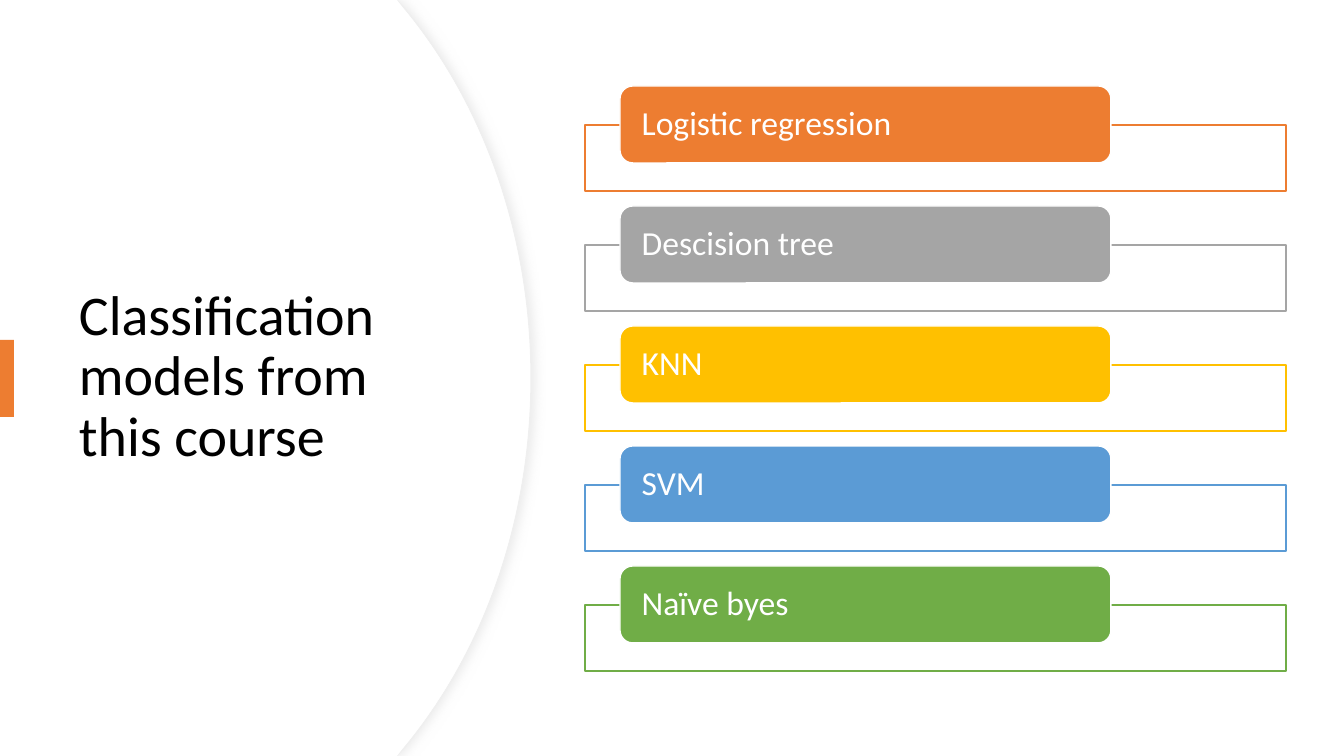
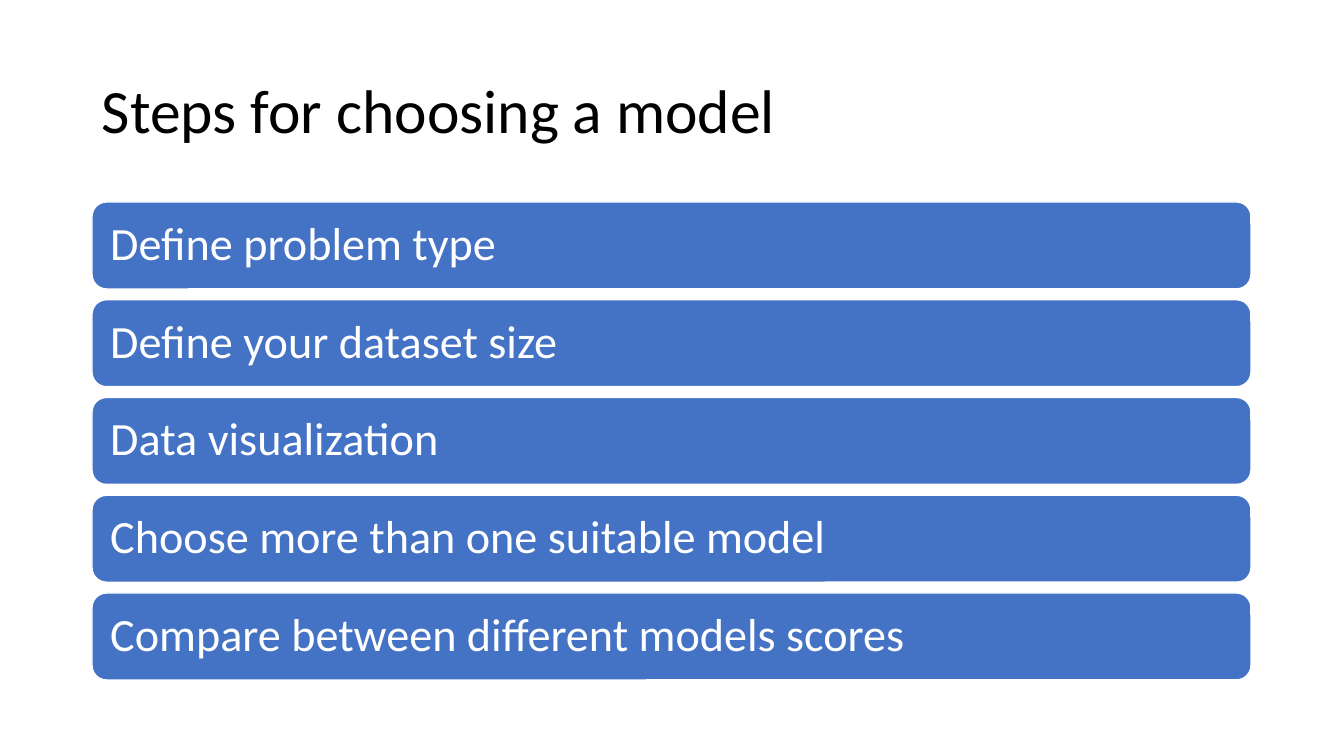
from pptx import Presentation
from pptx.dml.color import RGBColor
from pptx.enum.shapes import MSO_SHAPE
from pptx.enum.text import MSO_ANCHOR, PP_ALIGN
from pptx.oxml import parse_xml
from pptx.oxml.ns import nsdecls
from pptx.util import Emu, Pt

RECT, ROUND_RECT = MSO_SHAPE.RECTANGLE, MSO_SHAPE.ROUNDED_RECTANGLE
MIDDLE, LEFT = MSO_ANCHOR.MIDDLE, PP_ALIGN.LEFT

PX = 914400 / 100.8  # EMU per px
WIDTH, HEIGHT = 1344, 756
FONT = "Calibri"

BLACK = RGBColor(0x00, 0x00, 0x00)
WHITE = RGBColor(0xFF, 0xFF, 0xFF)
PALE = RGBColor(0xEF, 0xEF, 0xEF)
ORANGE = RGBColor(0xED, 0x7D, 0x31)
GRAY = RGBColor(0xA5, 0xA5, 0xA5)
GOLD = RGBColor(0xFF, 0xC0, 0x00)
SKY = RGBColor(0x5B, 0x9B, 0xD5)
GREEN = RGBColor(0x70, 0xAD, 0x47)
BLUE = RGBColor(0x44, 0x72, 0xC4)

SOFT_SHADOW = (
    f'<a:effectLst {nsdecls("a")}>'
    f'<a:outerShdw blurRad="{Pt(7)}" dist="{Pt(3)}" dir="0" algn="l" rotWithShape="0">'
    '<a:srgbClr val="D9D9D9"><a:alpha val="50000"/></a:srgbClr>'
    '</a:outerShdw></a:effectLst>')


def px(n):
    return Emu(round(n * PX))


def add_text(tf, text, size=24, color=WHITE, inset=(10, 5)):
    tf.word_wrap = True
    tf.vertical_anchor = MIDDLE
    tf.margin_left = tf.margin_right = px(inset[0])
    tf.margin_top = tf.margin_bottom = px(inset[1])
    p = tf.paragraphs[0]
    p.alignment = LEFT
    p.line_spacing = 0.9
    r = p.add_run()
    r.text = text
    r.font.name, r.font.size, r.font.color.rgb = FONT, Pt(size), color


def bend(segment, *points):
    """Turn a straight outline segment into a cubic curve."""
    pts = "".join(f'<a:pt x="{px(x)}" y="{px(y)}"/>' for x, y in points)
    curve = parse_xml(f'<a:cubicBezTo {nsdecls("a")}>{pts}</a:cubicBezTo>')
    segment.getparent().replace(segment, curve)


def spread(items, top, bottom, height):
    """Pair each item with its y so that all gaps are equal."""
    pitch = (bottom - top - height) / (len(items) - 1)
    return [(item, top + i * pitch) for i, item in enumerate(items)]


class Deck:
    def __init__(self):
        self.prs = Presentation()
        self.prs.slide_width, self.prs.slide_height = px(WIDTH), px(HEIGHT)
        self.s = None

    def slide(self):
        self.s = self.prs.slides.add_slide(self.prs.slide_layouts[6])

    def style(self, sp, fill, line=None, weight=1):
        sp.shadow.inherit = False
        sp.fill.solid()
        sp.fill.fore_color.rgb = fill
        if line is None:
            sp.line.fill.background()
        else:
            sp.line.color.rgb = line
            sp.line.width = Pt(weight)

    def box(self, kind, x, y, w, h, fill, line=None):
        sp = self.s.shapes.add_shape(kind, px(x), px(y), px(w), px(h))
        self.style(sp, fill, line)
        return sp

    def bar(self, text, x, y, w, h, fill, size, inset):
        sp = self.box(ROUND_RECT, x, y, w, h, fill, WHITE)
        add_text(sp.text_frame, text, size=size, inset=(inset, 0))

    def title(self, text, x, y, w, h, size):
        tb = self.s.shapes.add_textbox(px(x), px(y), px(w), px(h))
        add_text(tb.text_frame, text, size=size, color=BLACK)

    def curved_panel(self, right, line=None, shadow=False):
        """White panel from the left edge with a bulging right side."""
        mid, corner, shoulder, bulge = HEIGHT // 2, 397, right - 127, right - 48
        outline = [(corner, 0), (shoulder, 8), (right, mid),
                   (shoulder, HEIGHT - 8), (corner, HEIGHT), (0, HEIGHT)]
        fb = self.s.shapes.build_freeform(0, 0)
        fb.add_line_segments([(px(x), px(y)) for x, y in outline], close=True)
        sp = fb.convert_to_shape()
        self.style(sp, WHITE, line, 0.75)
        # Curve the two segments that meet at the rightmost point
        spPr = sp._element.spPr
        upper, lower = list(spPr.iter("{*}lnTo"))[2:4]
        bend(upper, (bulge, 103), (right, 234), (right, mid))
        bend(lower, (right, HEIGHT - 234), (bulge, HEIGHT - 103),
             (shoulder, HEIGHT - 8))
        if shadow:
            spPr.replace(spPr.find("{*}effectLst"), parse_xml(SOFT_SHADOW))


def models_slide(deck):
    deck.slide()
    # Title panel with accent
    deck.curved_panel(531, line=PALE, shadow=True)
    deck.curved_panel(530)
    deck.title("Classification models from this course", 69, 128, 397, 499, size=40)
    deck.box(RECT, 0, 340, 14, 77, ORANGE)
    # Model list: outlined frame behind a coloured tab
    models = [("Logistic regression", ORANGE), ("Descision tree", GRAY),
              ("KNN", GOLD), ("SVM", SKY), ("Naïve byes", GREEN)]
    for (name, color), y in spread(models, 86, 643, 77):
        deck.box(RECT, 585, y + 39, 701, 66, WHITE, color)
        deck.bar(name, 620, y, 491, 77, color, size=24, inset=18)


def steps_slide(deck):
    deck.slide()
    deck.title("Steps for choosing a model", 92, 40, 1159, 147, size=44)
    # Step bars
    steps = ["Define problem type", "Define your dataset size",
             "Data visualization", "Choose more than one suitable model",
             "Compare between different models scores"]
    for step, y in spread(steps, 202, 680, 87):
        deck.bar(step, 92, y, 1159, 87, BLUE, size=33, inset=14)


def main():
    deck = Deck()
    models_slide(deck)
    steps_slide(deck)
    deck.prs.save("out.pptx")


if __name__ == "__main__":
    main()
